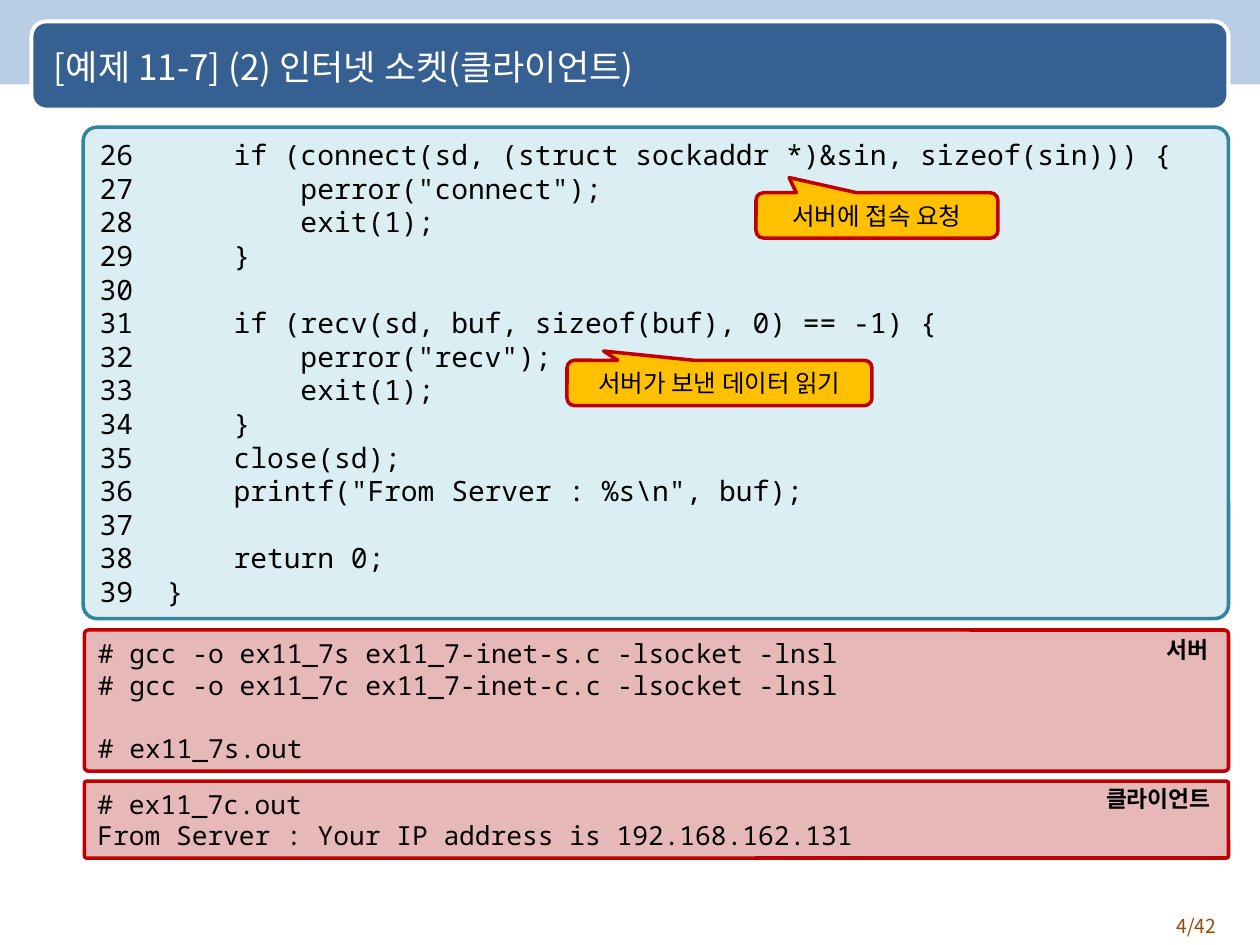
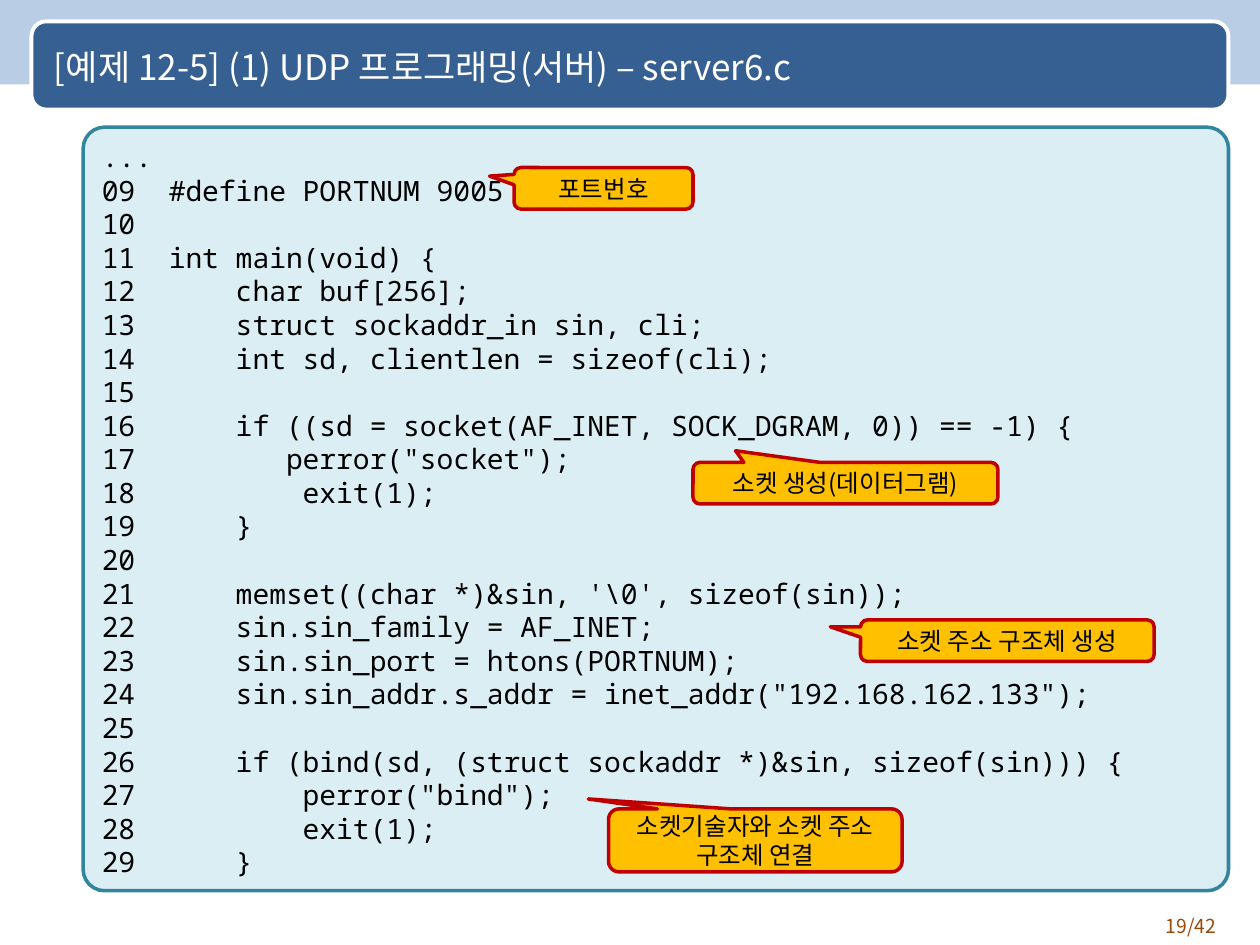
"""Build two slides that walk through socket program listings."""
from dataclasses import dataclass

import pptx
import pptx.dml.color
import pptx.enum.shapes
import pptx.enum.text
import pptx.util
from pptx.util import Inches

MSO = pptx.enum.shapes.MSO_SHAPE
ALIGN = pptx.enum.text.PP_ALIGN
ANCHOR = pptx.enum.text.MSO_ANCHOR


@dataclass(frozen=True)
class Theme:
    """Colours, fonts and type sizes of the deck."""
    band: str = "B9CDE5"
    title_bar: str = "376092"
    white: str = "FFFFFF"
    black: str = "000000"
    page: str = "984807"
    code_fill: str = "DBEEF4"
    code_line: str = "31859C"
    note_fill: str = "FFC000"
    shell_fill: str = "E6B9B8"
    red_line: str = "C00000"
    sans: str = "Noto Sans CJK KR"
    mono: str = "Noto Sans Mono"
    title_size: int = 20
    code_size: int = 16
    shell_size: int = 15
    note_size: int = 14
    tag_size: int = 13
    page_size: int = 11
    line_pitch: float = 1.2


@dataclass(frozen=True)
class Box:
    """Left, top, width and height in inches."""
    x: float
    y: float
    w: float
    h: float

    def emu(self) -> tuple:
        """Return the four lengths for a python-pptx call."""
        return tuple(Inches(v) for v in (self.x, self.y, self.w, self.h))


@dataclass(frozen=True)
class Note:
    """A callout and the offset of its pointer tip."""
    text: str
    box: Box
    tip: tuple[float, float]


@dataclass(frozen=True)
class Shell:
    """A terminal session with a tag in its corner."""
    text: str
    box: Box
    tag: str
    tag_box: Box


@dataclass(frozen=True)
class Listing:
    """Everything one slide shows."""
    title: str
    page: str
    code: str
    code_height: float
    notes: tuple[Note, ...]
    shells: tuple[Shell, ...] = ()


T = Theme()


def rgb(color: str) -> pptx.dml.color.RGBColor:
    """Turn a hex string into a colour."""
    return pptx.dml.color.RGBColor.from_string(color)


def write(sp, text: str, *, size: int, font: str = T.sans, color: str = T.black,
          bold: bool = False, align=ALIGN.LEFT, anchor=ANCHOR.MIDDLE, wrap: bool = True) -> None:
    """Write lines into a shape; an empty line becomes space before the next."""
    tf = sp.text_frame
    tf.word_wrap = wrap
    tf.vertical_anchor = anchor
    p, gap = tf.paragraphs[0], 0.0
    for i, line in enumerate(text.split("\n")):
        if not line:
            gap += size * T.line_pitch
            continue
        if i:
            p = tf.add_paragraph()
        p.alignment = align
        if gap:
            p.space_before = pptx.util.Pt(gap)
            gap = 0.0
        r = p.add_run()
        r.text = line
        r.font.size = pptx.util.Pt(size)
        r.font.name = font
        r.font.bold = bold
        r.font.color.rgb = rgb(color)
        ea = r.font._element.makeelement(pptx.oxml.ns.qn("a:ea"), {"typeface": font})
        r.font._element.append(ea)


def add_shape(s, kind, box: Box, fill: str, line: str | None = None,
              width: float = 2, adj: tuple[float, ...] = ()):
    """Add a flat preset shape."""
    sp = s.shapes.add_shape(kind, *box.emu())
    sp.shadow.inherit = False
    sp.fill.solid()
    sp.fill.fore_color.rgb = rgb(fill)
    if line:
        sp.line.color.rgb = rgb(line)
        sp.line.width = pptx.util.Pt(width)
    else:
        sp.line.fill.background()
    for i, value in enumerate(adj):
        sp.adjustments[i] = value
    return sp


def add_label(s, text: str, box: Box, **fmt) -> None:
    """Add a text box."""
    write(s.shapes.add_textbox(*box.emu()), text, **fmt)


def add_frame(s, title: str, page: str) -> None:
    """Draw the band, title bar, title and page number."""
    add_shape(s, MSO.RECTANGLE, Box(0, 0, 10, 0.67), T.band)
    add_shape(s, MSO.ROUNDED_RECTANGLE, Box(0.25, 0.17, 9.5, 0.7),
              T.title_bar, T.white, 2.25, (0.167,))
    add_label(s, page, Box(8.92, 7.21, 0.83, 0.29), size=T.page_size,
              color=T.page, align=ALIGN.RIGHT, anchor=ANCHOR.TOP)
    add_label(s, title, Box(0.33, 0.19, 9.25, 0.67), size=T.title_size, color=T.white)


def add_panel(s, text: str, box: Box, fill: str, line: str, size: int) -> None:
    """Add a rounded panel of monospaced text."""
    sp = add_shape(s, MSO.ROUNDED_RECTANGLE, box, fill, line, adj=(0.028,))
    write(sp, text, size=size, font=T.mono)


def add_note(s, note: Note) -> None:
    """Add a callout."""
    sp = add_shape(s, MSO.ROUNDED_RECTANGULAR_CALLOUT, note.box, T.note_fill,
                   T.red_line, adj=(*note.tip, 0.167))
    write(sp, note.text, size=T.note_size, align=ALIGN.CENTER)


def add_listing(prs, item: Listing) -> None:
    """Add one listing slide."""
    s = prs.slides.add_slide(prs.slide_layouts[6])
    add_frame(s, item.title, item.page)
    add_panel(s, item.code, Box(0.66, 1.01, 9.09, item.code_height),
              T.code_fill, T.code_line, T.code_size)
    for note in item.notes:
        add_note(s, note)
    for shell in item.shells:
        add_panel(s, shell.text, shell.box, T.shell_fill, T.red_line, T.shell_size)
        add_label(s, shell.tag, shell.tag_box, size=T.tag_size, bold=True,
                  anchor=ANCHOR.TOP, wrap=False)


CLIENT_CODE = r"""26      if (connect(sd, (struct sockaddr *)&sin, sizeof(sin))) {
27          perror("connect");
28          exit(1);
29      }
30
31      if (recv(sd, buf, sizeof(buf), 0) == -1) {
32          perror("recv");
33          exit(1);
34      }
35      close(sd);
36      printf("From Server : %s\n", buf);
37
38      return 0;
39  }"""

SERVER_CODE = r"""...
09  #define PORTNUM 9005
10
11  int main(void) {
12      char buf[256];
13      struct sockaddr_in sin, cli;
14      int sd, clientlen = sizeof(cli);
15
16      if ((sd = socket(AF_INET, SOCK_DGRAM, 0)) == -1) {
17         perror("socket");
18          exit(1);
19      }
20
21      memset((char *)&sin, '\0', sizeof(sin));
22      sin.sin_family = AF_INET;
23      sin.sin_port = htons(PORTNUM);
24      sin.sin_addr.s_addr = inet_addr("192.168.162.133");
25
26      if (bind(sd, (struct sockaddr *)&sin, sizeof(sin))) {
27          perror("bind");
28          exit(1);
29      }"""

SERVER_SHELL = """# gcc -o ex11_7s ex11_7-inet-s.c -lsocket -lnsl
# gcc -o ex11_7c ex11_7-inet-c.c -lsocket -lnsl

# ex11_7s.out"""

CLIENT_SHELL = """# ex11_7c.out
From Server : Your IP address is 192.168.162.131"""

LISTINGS = (
    Listing(
        "[예제 11-7] (2) 인터넷 소켓(클라이언트)", "4/42", CLIENT_CODE, 3.9,
        (Note("서버에 접속 요청", Box(6, 1.53, 1.92, 0.36), (-0.363, -0.835)),
         Note("서버가 보낸 데이터 읽기", Box(4.5, 2.86, 2.42, 0.36), (-0.38, -0.704))),
        (Shell(SERVER_SHELL, Box(0.67, 5, 9.08, 1.12), "서버", Box(9.16, 5, 0.53, 0.32)),
         Shell(CLIENT_SHELL, Box(0.67, 6.2, 9.08, 0.61), "클라이언트",
               Box(8.68, 6.18, 1.03, 0.32)))),
    Listing(
        "[예제 12-5] (1) UDP 프로그래밍(서버) – server6.c", "19/42", SERVER_CODE, 6.06,
        (Note("포트번호", Box(4.08, 1.33, 1.42, 0.33), (-0.637, -0.293)),
         Note("소켓 생성(데이터그램)", Box(5.5, 3.67, 2.42, 0.33), (-0.36, -0.78)),
         Note("소켓 주소 구조체 생성", Box(6.83, 4.92, 2.33, 0.33), (-0.603, -0.334)),
         Note("소켓기술자와 소켓 주소 구조체 연결", Box(4.83, 6.42, 2.33, 0.5),
              (-0.569, -0.658)))),
)


def main() -> None:
    """Build and save the deck."""
    prs = pptx.Presentation()
    prs.slide_width, prs.slide_height = Inches(10), Inches(7.5)
    for item in LISTINGS:
        add_listing(prs, item)
    prs.save("out.pptx")


if __name__ == "__main__":
    main()
